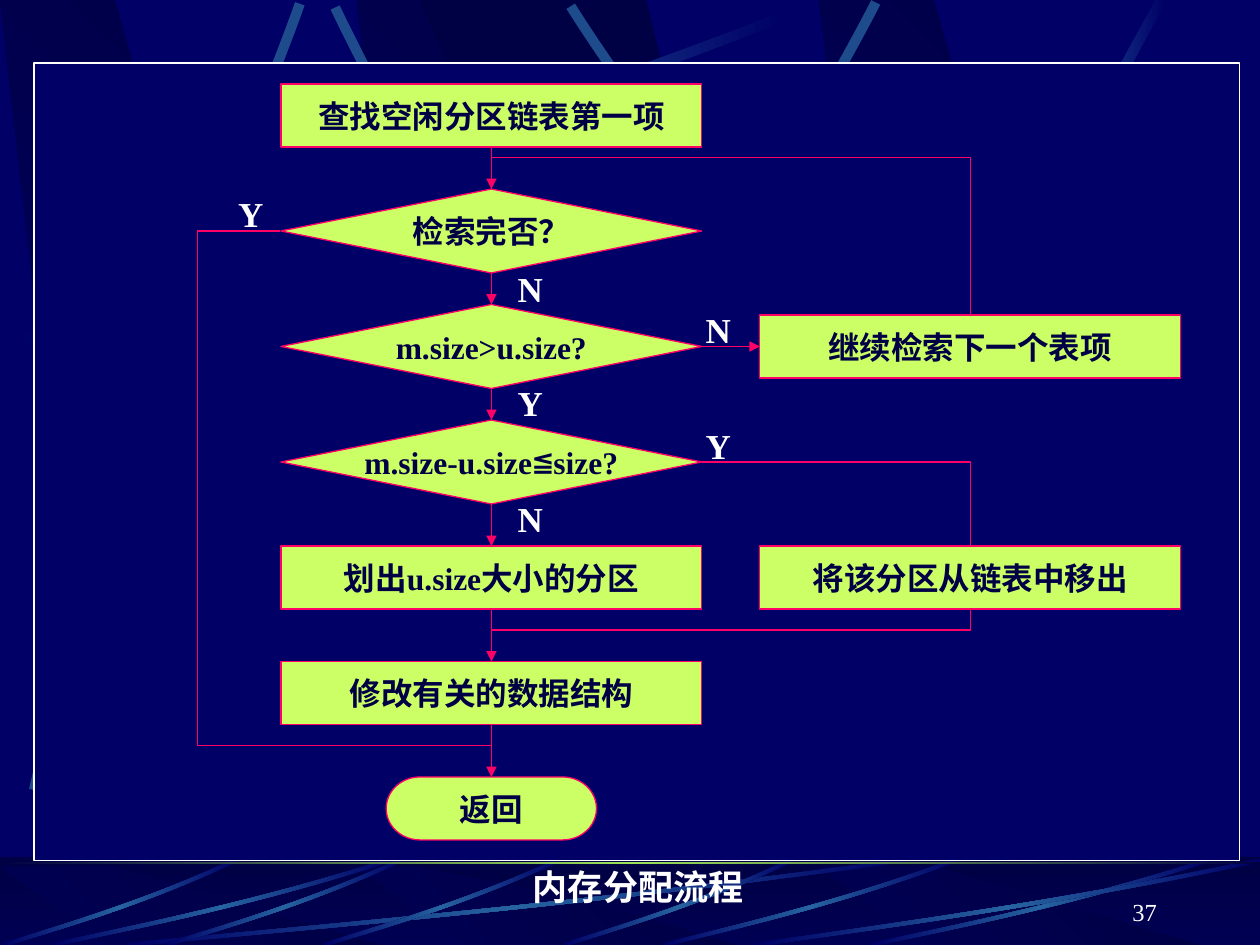
from math import hypot
from lxml import etree
from pptx import Presentation, util as u
from pptx.dml.color import RGBColor
from pptx.enum import shapes, text
from pptx.oxml.ns import qn

HUE = dict(back="000066", dark="000044", streak="2663A0", ray="1D4B8B",
           glow="9CE157", box="CCFF66", edge="FF0066", white="FFFFFF")
FONT = "Times New Roman"
KIND = shapes.MSO_SHAPE
STEP = 1 / 12              # grid row, in inches
MID, SIDE = 3.9, 7.7       # centre lines of the two columns
WIDE = 3.34

# Flowchart: text, kind, column centre, top row, rows high, width
BOX, ASK, END = (KIND.FLOWCHART_PROCESS, KIND.FLOWCHART_DECISION,
                 KIND.FLOWCHART_TERMINATOR)
NODES = [
    ("查找空闲分区链表第一项", BOX, MID, 8, 6, WIDE),
    ("检索完否？", ASK, MID, 18, 8, WIDE),
    ("m.size>u.size?", ASK, MID, 29, 8, WIDE),
    ("m.size-u.size≦size?", ASK, MID, 40, 8, WIDE),
    ("划出u.size大小的分区", BOX, MID, 52, 6, WIDE),
    ("修改有关的数据结构", BOX, MID, 63, 6, WIDE),
    ("返回", END, MID, 74, 6, WIDE / 2),
    ("将该分区从链表中移出", BOX, SIDE, 52, 6, WIDE),
    ("继续检索下一个表项", BOX, SIDE, 30, 6, WIDE),
]
LABELS = [("Y", 1.79, 1.48), ("Y", 4.01, 2.98), ("Y", 5.5, 3.32),
          ("N", 4.01, 2.07), ("N", 5.5, 2.4), ("N", 4.01, 3.9)]
# Bent lines: x in inches, y in grid rows
BENDS = [
    [(SIDE, 30), (SIDE, 15), (MID, 15)],
    [(5.57, 44), (SIDE, 44), (SIDE, 52)],
    [(SIDE, 58), (SIDE, 60), (MID, 60)],
    [(2.22, 22), (1.57, 22), (1.57, 71), (MID, 71)],
]

# Backdrop: bands repeat at three offsets, streaks are cubic curves
BANDS = [0, 2.83, 6.5]
RAYS = [
    [(4.57, 4.37), (3.95, 2.45), (3, 0.78), (2.66, 0.06)],
    [(0.27, 6.27), (0.9, 3.5), (2.02, 1.06), (2.38, 0.03)],
    [(3.9, 6.17), (4.92, 3.38), (6.43, 1.05), (6.95, 0.02)],
    [(8.02, 5.63), (6.77, 3.09), (5.11, 0.98), (4.53, 0.05)],
]
FAINT = [
    [(0.15, 2.72), (2.63, 1.34), (5.2, 0.56), (6.21, 0.13)],
    [(7.41, 3.95), (7.9, 2.5), (8.6, 1.1), (9.22, 0)],
]
ARC = [(1, 0.04), (0.57, 0.57), (0.17, 0.85), (0, 1)]
SWEEPS = [(1, 6.17), (0.42, 2.67), (5.27, 2.31), (6.92, 2.67), (6, 4),
          (4.48, 1.8), (2.57, 1.86), (1.32, 1.86), (0.03, 1.84)]

prs = Presentation()
prs.slide_width, prs.slide_height = u.Inches(10), u.Inches(7.5)
page = prs.slides.add_slide(prs.slide_layouts[5])
page.background.fill.solid()
page.background.fill.fore_color.rgb = RGBColor.from_string(HUE["back"])
draw = page.shapes


def inch(*nums):
    return [u.Inches(n) for n in nums]


def paint(shp, fill=None, line=None, ang=0):
    """Fill with one colour name, or a list of names for a gradient."""
    shp.shadow.inherit = False
    if fill is None:
        shp.fill.background()
    elif isinstance(fill, str):
        shp.fill.solid()
        shp.fill.fore_color.rgb = RGBColor.from_string(HUE[fill])
    else:
        shp.fill.gradient()
        shp.fill.gradient_angle = ang
        stops = shp._element.spPr.find(".//" + qn("a:gsLst"))
        for old in list(stops):
            stops.remove(old)
        for i, name in enumerate(fill):
            pos = str(100000 * i // (len(fill) - 1))
            stop = etree.SubElement(stops, qn("a:gs"), pos=pos)
            etree.SubElement(stop, qn("a:srgbClr"), val=HUE[name])
    if line:
        shp.line.color.rgb = RGBColor.from_string(HUE[line])
        shp.line.width = u.Pt(0.75)
    else:
        shp.line.fill.background()
    return shp


def write(shp, words, size=20, hue="white", bold=True, align="CENTER",
          anchor="TOP", wrap=False):
    frame = shp.text_frame
    frame.word_wrap = wrap
    frame.auto_size = text.MSO_AUTO_SIZE.NONE
    frame.vertical_anchor = getattr(text.MSO_ANCHOR, anchor)
    para = frame.paragraphs[0]
    para.alignment = getattr(text.PP_ALIGN, align)
    run = para.add_run()
    run.text = words
    font = run.font
    font.size, font.name, font.bold = u.Pt(size), FONT, bold
    font.color.rgb = RGBColor.from_string(HUE[hue])


def rect(*at):
    return draw.add_shape(KIND.RECTANGLE, *inch(*at))


def shape(pts, close=True):
    spots = [inch(*p) for p in pts]
    pen = draw.build_freeform(*spots[0])
    pen.add_line_segments(spots[1:], close=close)
    return pen.convert_to_shape()


def curve(ctrl, wide, fill):
    """A thin ribbon along a cubic curve."""
    one, two = [], []
    for i, (x, y) in enumerate(ctrl):
        a, b = ctrl[max(i - 1, 0)], ctrl[min(i + 1, 3)]
        dx, dy = b[0] - a[0], b[1] - a[1]
        k = wide / 2 / hypot(dx, dy)
        one.append((x - dy * k, y + dx * k))
        two.append((x + dy * k, y - dx * k))
    shp = shape(one + two[::-1])
    legs = shp._element.spPr.findall(".//" + qn("a:lnTo"))
    for trio in (legs[:3], legs[4:7]):   # three corners become one cubic
        bend = etree.Element(qn("a:cubicBezTo"))
        trio[0].addprevious(bend)
        for leg in trio:
            bend.append(leg[0])
            leg.getparent().remove(leg)
    paint(shp, fill)


def bands(top, end):
    for x in BANDS:
        paint(shape([(x, top), (x + 0.91, top), (x + 3.02, end),
                     (x + 0.86, end)]), ["back", "dark"], ang=45)
    paint(shape([(3.33, top), (5.13, top), (6.94, end), (6.58, end)]),
          ["dark", "back"], ang=270)


def link(x1, y1, x2, y2):
    wire = draw.add_connector(shapes.MSO_CONNECTOR.STRAIGHT,
                              *inch(x1, y1, x2, y2))
    wire.line.color.rgb = RGBColor.from_string(HUE["edge"])
    wire.line.width = u.Pt(0.75)
    etree.SubElement(wire.line._get_or_add_ln(), qn("a:tailEnd"),
                     type="triangle")
    etree.SubElement(wire._element.spPr, qn("a:effectLst"))


# Backdrop
fade = ["back", "streak", "back"]
bands(0, 7.5)
for ray in RAYS:
    curve(ray, 0.08, "ray")
for ray in FAINT:
    curve(ray, 0.08, fade)
paint(rect(0, 6.8, 10, 0.7), ["dark", "back"], ang=270)
bands(6.88, 7.5)
veil = paint(rect(0, 6.8, 10, 0.7), "dark")
tint = veil._element.spPr.find(".//" + qn("a:srgbClr"))
etree.SubElement(tint, qn("a:alpha"), val="50000")
for left, wide in SWEEPS:
    curve([(left + wide * x, 6.8 + 0.7 * y) for x, y in ARC], 0.03, fade)
paint(rect(0, 6.84, 10, 0.02), ["dark", "glow", "dark"])

# Flowchart
paint(rect(0.27, 0.5, 9.57, 6.33), "back", "white")
for words, kind, mid, row, high, wide in NODES:
    node = draw.add_shape(kind, *inch(mid - wide / 2, row * STEP,
                                      wide, high * STEP))
    write(paint(node, "box", "edge"), words, size=18, hue="dark",
          anchor="MIDDLE")
for words, x, y in LABELS:
    write(draw.add_textbox(*inch(x, y, 0.4, 0.44)), words)
main = [n for n in NODES if n[2] == MID]
for a, b in zip(main, main[1:]):
    link(MID, (a[3] + a[4]) * STEP, MID, b[3] * STEP)
link(5.57, 33 * STEP, 6.03, 33 * STEP)
for bend in BENDS:
    paint(shape([(x, y * STEP) for x, y in bend], close=False), line="edge")

# Title under the panel, and page number
title = draw.title
title.left, title.top, title.width, title.height = inch(4.13, 6.82, 1.87, 0.44)
write(title, "内存分配流程", align="RIGHT")
draw._spTree.append(title._element)
write(draw.add_textbox(*inch(7.2, 6.9, 2.08, 0.5)), "37", size=14, bold=False,
      align="RIGHT", anchor="BOTTOM", wrap=True)

prs.save("out.pptx")
